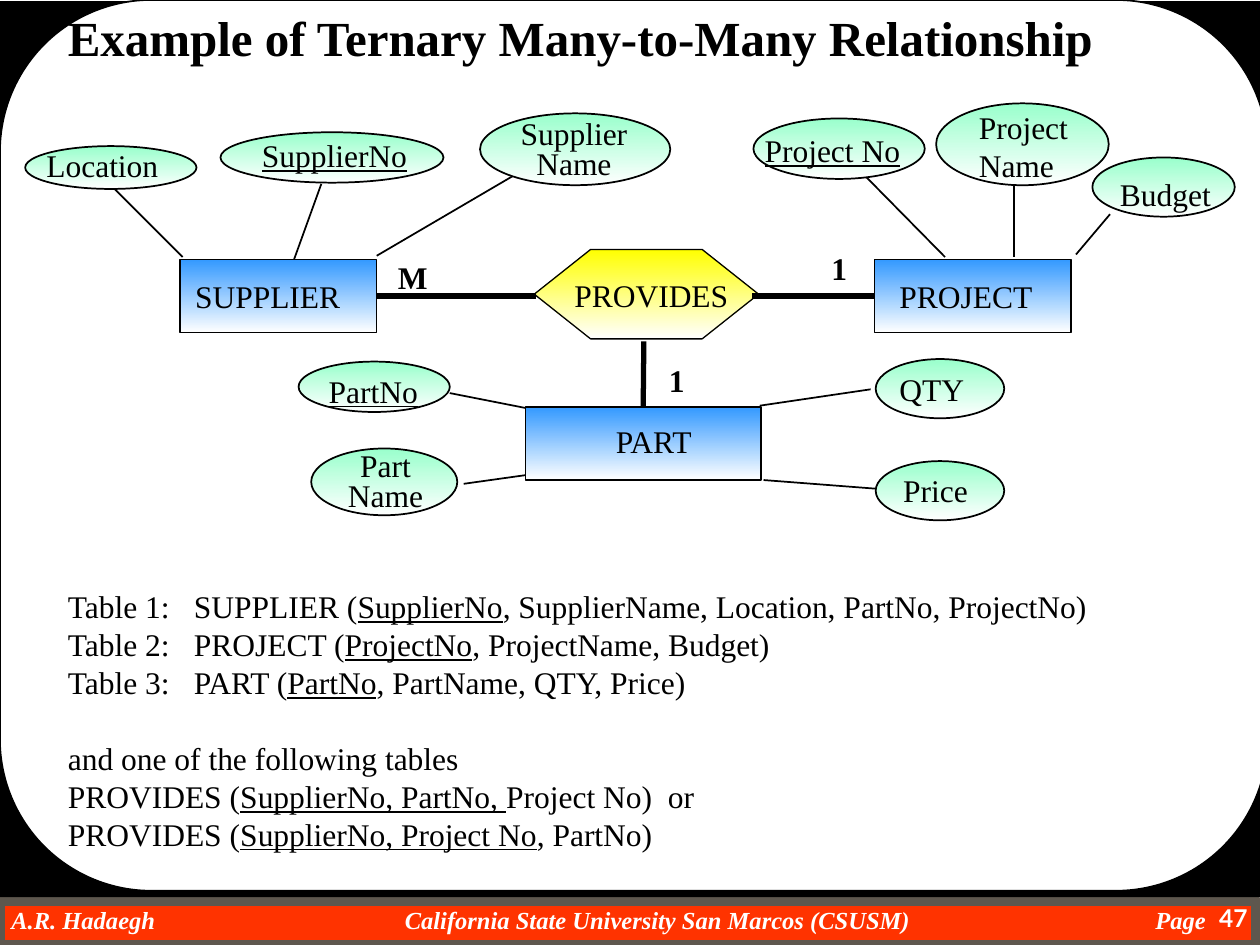
"""Build the ternary many-to-many relationship slide."""
from lxml.etree import SubElement
from pptx import Presentation
from pptx.dml.color import RGBColor
from pptx.enum.shapes import MSO_CONNECTOR, MSO_SHAPE
from pptx.enum.text import MSO_AUTO_SIZE, PP_ALIGN
from pptx.oxml.ns import qn
from pptx.util import Inches, Pt

SERIF = "Times New Roman"
BLACK, WHITE = "000000", "FFFFFF"
BLUE, GREEN, YELLOW = "3399FF", "99FFCC", "FFFF00"

TITLE = "Example of Ternary Many-to-Many Relationship"

# name: (box, label left/top/width)
ENTITIES = {
    "SUPPLIER": ((1.43, 2.06, 1.56, 0.58), (1.45, 2.15, 1.37)),
    "PROJECT": ((6.94, 2.06, 1.56, 0.58), (7.04, 2.15, 1.28)),
    "PART": ((4.17, 3.23, 1.87, 0.58), (4.79, 3.3, 0.84)),
}
# text, ellipse, label left/top/width, is key, line spacing, connector
ATTRIBUTES = [
    ("Location", (0.2, 1.16, 1.36, 0.34), (0.27, 1.11, 1.09), False, 1, (0.9, 1.49, 1.45, 2.04)),
    ("SupplierNo", (1.75, 1.05, 1.77, 0.4), (1.98, 1.03, 1.35), True, 1, (2.55, 1.46, 2.33, 2.07)),
    ("Supplier\nName", (3.81, 0.9, 1.51, 0.57), (4.03, 0.91, 1.05), False, 0.8, (4.1, 1.38, 2.99, 2.03)),
    ("Project No", (5.98, 0.94, 1.36, 0.48), (5.97, 0.99, 1.3), True, 1, (6.85, 1.38, 7.5, 2.04)),
    ("Project\nName", (7.43, 0.82, 1.37, 0.65), (7.67, 0.81, 0.91), False, 1, (8.05, 1.48, 8.05, 2.04)),
    ("Budget", (8.67, 1.25, 1.13, 0.47), (8.79, 1.34, 0.92), False, 1, (8.81, 1.7, 8.54, 2.02)),
    ("PartNo", (2.37, 2.87, 1.2, 0.4), (2.51, 2.9, 0.91), True, 1, (3.57, 3.12, 4.18, 3.24)),
    ("Part\nName", (2.47, 3.56, 1.16, 0.53), (2.66, 3.55, 0.8), False, 0.8, (3.68, 3.84, 4.18, 3.77)),
    ("QTY", (6.95, 2.85, 1.02, 0.47), (7.04, 2.89, 0.74), False, 1, (6.91, 3.09, 6.03, 3.22)),
    ("Price", (6.95, 3.66, 1.02, 0.47), (7.07, 3.69, 0.74), False, 1, (6.97, 3.88, 6.06, 3.81)),
]
# cardinality, label left/top/width, start on the relationship, entity, side
ROLES = [
    ("M", (3.06, 2, 0.38), (4.25, 2.35), "SUPPLIER", 3),
    ("1", (6.5, 1.93, 0.33), (5.97, 2.35), "PROJECT", 1),
    ("1", (5.21, 2.82, 0.33), (5.11, 2.71), "PART", 0),
]
# before key, key, after key
TABLES = [
    ("Table 1: \tSUPPLIER (", "SupplierNo", ", SupplierName, Location, PartNo, ProjectNo)"),
    ("Table 2:\tPROJECT (", "ProjectNo", ", ProjectName, Budget)"),
    ("Table 3:\tPART (", "PartNo", ", PartName, QTY, Price)"),
    ("and one of the following tables", "", ""),
    ("PROVIDES (", "SupplierNo, PartNo, ", "Project No)  or"),
    ("PROVIDES (", "SupplierNo, Project No", ", PartNo)"),
]
FOOTER = [
    ("A.R. Hadaegh", 0.09, 2.5, PP_ALIGN.LEFT),
    ("California State University San Marcos (CSUSM)", 2.97, 4.5, PP_ALIGN.CENTER),
    ("Page", 8.57, 1, PP_ALIGN.RIGHT),
]


def rgb(value):
    return RGBColor.from_string(value)


def set_font(font, size=18, color=BLACK, name=SERIF, bold=False, italic=False, underline=False):
    font.name, font.size = name, Pt(size)
    font.bold, font.italic, font.underline = bold, italic, underline
    font.color.rgb = rgb(color)


def add_shape(s, kind, box, color, line=None, width=1.0, gradient=False):
    sp = s.shapes.add_shape(kind, *map(Inches, box))
    sp.shadow.inherit = False
    if gradient:
        sp.fill.gradient()
        sp.fill.gradient_angle = 270
        for stop, shade in zip(sp.fill.gradient_stops, (color, WHITE)):
            stop.color.rgb = rgb(shade)
    else:
        sp.fill.solid()
        sp.fill.fore_color.rgb = rgb(color)
    if line:
        sp.line.color.rgb = rgb(line)
        sp.line.width = Pt(width)
    else:
        sp.line.fill.background()
    return sp


def add_text(s, text, box, align=PP_ALIGN.LEFT, spacing=1, wrap=False, inset=None, **font):
    tf = s.shapes.add_textbox(*map(Inches, box)).text_frame
    tf.word_wrap = wrap
    if not wrap:
        tf.auto_size = MSO_AUTO_SIZE.SHAPE_TO_FIT_TEXT
    if inset is not None:
        tf.margin_left = tf.margin_right = tf.margin_top = tf.margin_bottom = Inches(inset)
    tf.text = text
    for p in tf.paragraphs:
        p.alignment = align
        if spacing != 1:
            p.line_spacing = spacing
        for r in p.runs:
            set_font(r.font, **font)


def add_label(s, text, place, spacing=1, **font):
    height = 0.1 + 0.3 * spacing * len(text.split("\n"))
    align = PP_ALIGN.CENTER if spacing < 1 else PP_ALIGN.LEFT
    add_text(s, text, (*place, height), align, spacing, **font)


def add_line(s, ends, width):
    cn = s.shapes.add_connector(MSO_CONNECTOR.STRAIGHT, *map(Inches, ends))
    cn.line.color.rgb = rgb(BLACK)
    cn.line.width = Pt(width)
    SubElement(cn._element.spPr, qn("a:effectLst"))
    return cn


def add_frame(s):
    add_shape(s, MSO_SHAPE.RECTANGLE, (0, 7.15, 9.97, 0.35), "FF3300", "5E574E", 6)
    add_shape(s, MSO_SHAPE.RECTANGLE, (0, 0.01, 10, 7.11), BLACK)
    page = add_shape(s, MSO_SHAPE.ROUNDED_RECTANGLE, (0, 0, 10.06, 7.07), WHITE, BLACK)
    page.adjustments[0] = 0.17
    for text, left, width, align in FOOTER:
        add_text(s, text, (left, 7.18, width, 0.23), align, inset=0, wrap=True,
                 size=14, color=WHITE, bold=True, italic=True)
    add_text(s, "47", (9.25, 7.12, 0.75, 0.38), PP_ALIGN.RIGHT, wrap=True,
             size=14, color=WHITE, name="Lato", bold=True)
    add_text(s, TITLE, (0.44, 0.01, 8.43, 0.57), size=28, bold=True)


def add_diagram(s):
    for text, oval, place, key, spacing, ends in ATTRIBUTES:
        add_line(s, ends, 1)
        add_shape(s, MSO_SHAPE.OVAL, oval, GREEN, BLACK, gradient=True)
        add_label(s, text, place, spacing, underline=key)
    boxes = {}
    for name, (box, place) in ENTITIES.items():
        boxes[name] = add_shape(s, MSO_SHAPE.RECTANGLE, box, BLUE, BLACK, 0.75, True)
        add_label(s, name, place)
    hexagon = add_shape(s, MSO_SHAPE.HEXAGON, (4.24, 1.98, 1.78, 0.71), YELLOW, BLACK, 0.75, True)
    hexagon.adjustments[0] = 0.63
    add_label(s, "PROVIDES", (4.46, 2.14, 1.42))
    for text, place, start, name, side in ROLES:
        add_label(s, text, place, bold=True)
        add_line(s, start + start, 3).end_connect(boxes[name], side)


def add_tables(s):
    tf = s.shapes.add_textbox(*map(Inches, (0.44, 4.61, 8.98, 2.22))).text_frame
    tf.word_wrap = True
    for i, parts in enumerate(TABLES):
        p = tf.add_paragraph() if i else tf.paragraphs[0]
        if i == 3:
            p.space_before = Pt(22)
        for j, part in enumerate(parts):
            if part:
                r = p.add_run()
                r.text = part
                set_font(r.font, underline=j == 1)


def main():
    prs = Presentation()
    prs.slide_width, prs.slide_height = Inches(10), Inches(7.5)
    s = prs.slides.add_slide(prs.slide_layouts[6])
    add_frame(s)
    add_diagram(s)
    add_tables(s)
    prs.save("out.pptx")


if __name__ == "__main__":
    main()
